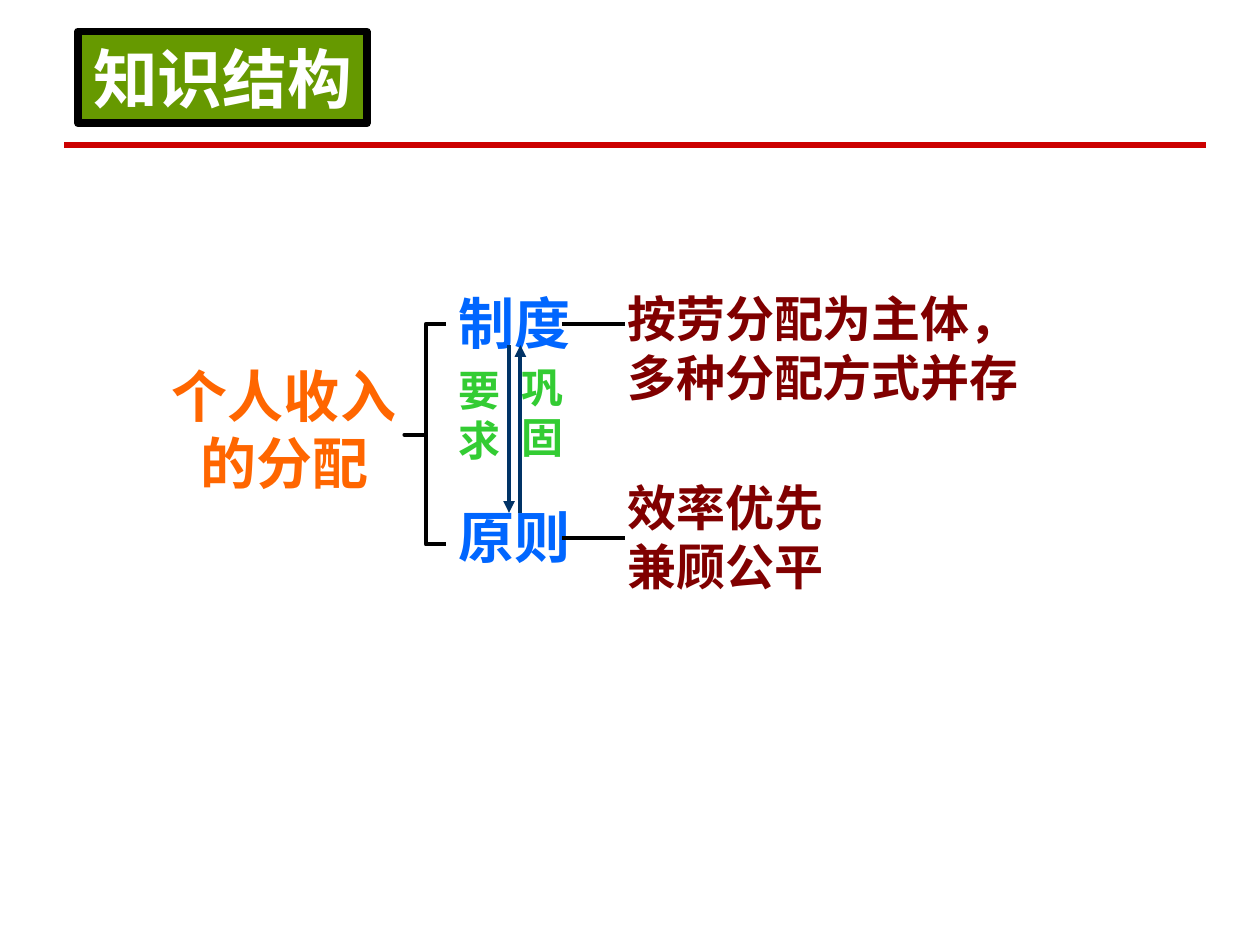
"""Build the knowledge-structure slide on personal income distribution."""
from dataclasses import dataclass

import pptx
import pptx.dml.color
import pptx.enum.shapes
import pptx.enum.text
import pptx.oxml
import pptx.oxml.ns
import pptx.util

PX = 9144
FONT = "Times New Roman"
ALIGN = pptx.enum.text.PP_ALIGN
COLORS = {
    "rule": "CC0000",
    "topic": "FF6600",
    "branch": "0066FF",
    "detail": "800000",
    "relation": "33CC33",
    "arrow": "003366",
    "black": "000000",
    "badge": "669900",
    "white": "FFFFFF",
}


@dataclass(frozen=True)
class Label:
    text: str
    left: int
    top: int
    width: int
    height: int
    size: int
    color: str
    align: ALIGN = ALIGN.LEFT


@dataclass(frozen=True)
class Stroke:
    start: tuple[int, int]
    end: tuple[int, int]
    color: str = "black"
    weight: float = 2.25
    arrow: bool = False


RULE = Stroke((51, 115), (957, 115), "rule", 3)
BADGE = Label("知识结构", 62, 25, 229, 73, 37, "white")
BRACKET = [(354, 257), (338, 257), (338, 345), (321, 345),
           (338, 345), (338, 432), (354, 432)]
LABELS = [
    Label("个人收入的分配", 113, 282, 225, 117, 32, "topic", ALIGN.CENTER),
    Label("制度", 354, 224, 150, 64, 32, "branch"),
    Label("原则", 354, 394, 150, 64, 32, "branch"),
    Label("按劳分配为主体，多种分配方式并存", 488, 224, 367, 104, 28, "detail"),
    Label("效率优先兼顾公平", 488, 374, 200, 104, 28, "detail"),
    Label("要求", 354, 284, 58, 90, 24, "relation"),
    Label("巩固", 404, 282, 58, 90, 24, "relation"),
]
STROKES = [
    Stroke((446, 257), (496, 257)),
    Stroke((446, 427), (496, 427)),
    Stroke((404, 274), (404, 407), "arrow", arrow=True),
    Stroke((413, 407), (413, 274), "arrow", arrow=True),
]


def rgb(name: str) -> pptx.dml.color.RGBColor:
    return pptx.dml.color.RGBColor.from_string(COLORS[name])


def place(label: Label) -> list[int]:
    return [value * PX for value in (label.left, label.top, label.width, label.height)]


def write(box, label: Label) -> None:
    frame = box.text_frame
    frame.text = label.text
    frame.vertical_anchor = pptx.enum.text.MSO_ANCHOR.TOP
    para = frame.paragraphs[0]
    para.alignment = label.align
    for span in para.runs:
        span.font.name = FONT
        span.font.size = pptx.util.Pt(label.size)
        span.font.bold = True
        span.font.color.rgb = rgb(label.color)


def draw_label(page, label: Label) -> None:
    box = page.shapes.add_textbox(*place(label))
    box.text_frame.word_wrap = True
    write(box, label)


def draw_stroke(page, stroke: Stroke) -> None:
    ends = [value * PX for value in stroke.start + stroke.end]
    line = page.shapes.add_connector(pptx.enum.shapes.MSO_CONNECTOR.STRAIGHT, *ends)
    line.line.color.rgb = rgb(stroke.color)
    line.line.width = pptx.util.Pt(stroke.weight)
    properties = line._element.spPr
    if stroke.arrow:
        tail = pptx.oxml.parse_xml(
            f'<a:tailEnd {pptx.oxml.ns.nsdecls("a")} type="triangle"/>')
        line.line._get_or_add_ln().append(tail)
    properties.append(pptx.oxml.parse_xml(
        f'<a:effectLst {pptx.oxml.ns.nsdecls("a")}/>'))


def draw_bracket(page, points: list[tuple[int, int]]) -> None:
    builder = page.shapes.build_freeform(*points[0], scale=PX)
    builder.add_line_segments(points[1:], close=False)
    bracket = builder.convert_to_shape()
    bracket.shadow.inherit = False
    bracket.fill.background()
    bracket.line.color.rgb = rgb("black")
    bracket.line.width = pptx.util.Pt(2.25)


def draw_badge(page, label: Label) -> None:
    box = page.shapes.add_shape(pptx.enum.shapes.MSO_SHAPE.RECTANGLE, *place(label))
    box.shadow.inherit = False
    box.fill.solid()
    box.fill.fore_color.rgb = rgb("badge")
    box.line.color.rgb = rgb("black")
    box.line.width = pptx.util.Pt(4.5)
    frame = box.text_frame
    frame.word_wrap = False
    frame.margin_left = frame.margin_right = 12 * PX
    frame.margin_top = frame.margin_bottom = 6 * PX
    write(box, label)


def main() -> None:
    deck = pptx.Presentation()
    deck.slide_width, deck.slide_height = 1000 * PX, 750 * PX
    page = deck.slides.add_slide(deck.slide_layouts[6])
    draw_stroke(page, RULE)
    draw_bracket(page, BRACKET)
    for label in LABELS:
        draw_label(page, label)
    for stroke in STROKES:
        draw_stroke(page, stroke)
    draw_badge(page, BADGE)
    deck.save("out.pptx")


if __name__ == "__main__":
    main()
